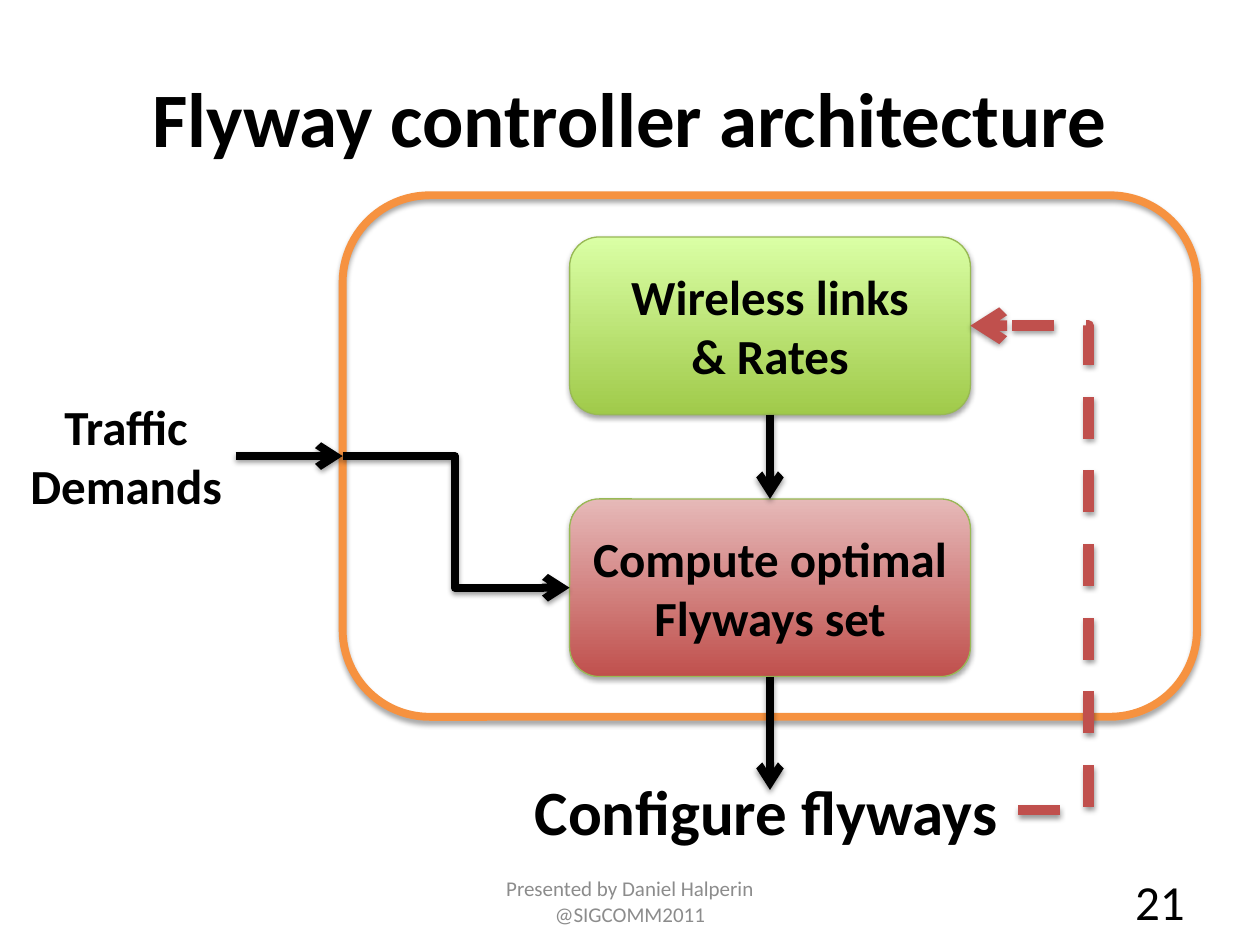
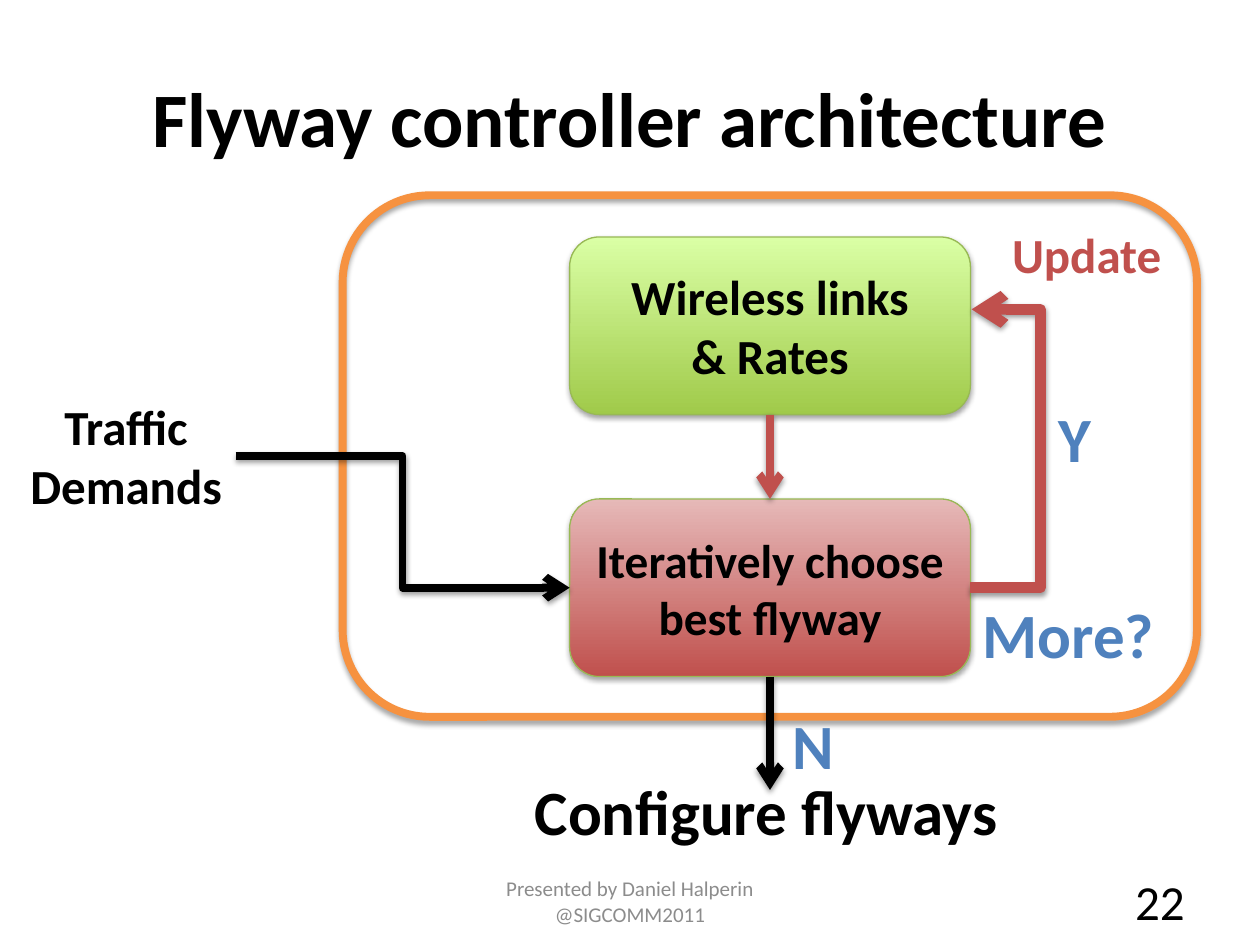
from lxml import etree
from pptx import Presentation
from pptx.dml.color import RGBColor
from pptx.enum import dml, shapes, text
from pptx.oxml import ns
from pptx.util import Pt

BLACK = RGBColor(0x00, 0x00, 0x00)
ORANGE = RGBColor(0xF6, 0x92, 0x40)
GREEN_DARK = RGBColor(0xA0, 0xCA, 0x4A)
GREEN_LIGHT = RGBColor(0xDA, 0xFF, 0xA5)
GREEN_EDGE = RGBColor(0x98, 0xB9, 0x55)
RED = RGBColor(0xC0, 0x50, 0x4D)
RED_LIGHT = RGBColor(0xE6, 0xB9, 0xB8)
BLUE = RGBColor(0x4F, 0x81, 0xBD)
GREY = RGBColor(0x8C, 0x8C, 0x8C)
FONT = "Calibri"

PANEL = (195.8, 111.6, 488.2, 298)
BOX_LEFT, BOX_WIDTH, BOX_HEIGHT = 325.5, 229, 101.5
BOX_RIGHT = BOX_LEFT + BOX_WIDTH
BOX_CENTER = BOX_LEFT + BOX_WIDTH / 2
LINKS_TOP, CHOICE_TOP = 135.4, 285.1
LINKS_MIDDLE = LINKS_TOP + BOX_HEIGHT / 2
CHOICE_MIDDLE = CHOICE_TOP + BOX_HEIGHT / 2
DEMAND_RIGHT, DEMAND_MIDDLE = 134.6, 260.6
CONFIGURE_TOP = 451.4


def points(*values):
    return [Pt(value) for value in values]


def write(frame, content, size=28, color=BLACK, bold=True,
          align=text.PP_ALIGN.CENTER, anchor=text.MSO_ANCHOR.MIDDLE, wrap=True):
    frame.word_wrap = wrap
    frame.vertical_anchor = anchor
    frame.text = content
    for para in frame.paragraphs:
        para.alignment = align
        for span in para.runs:
            span.font.name = FONT
            span.font.size = Pt(size)
            span.font.bold = bold
            span.font.color.rgb = color


def add_child(parent, tag, **attributes):
    values = {name: str(value) for name, value in attributes.items()}
    return etree.SubElement(parent, ns.qn(tag), values)


def add_shadow(properties, distance, opacity):
    effects = properties.find(ns.qn("a:effectLst"))
    if effects is None:
        effects = add_child(properties, "a:effectLst")
    shadow = add_child(effects, "a:outerShdw", blurRad=Pt(3.1), dist=Pt(distance),
                       dir=5400000, rotWithShape=0)
    color = add_child(shadow, "a:srgbClr", val=BLACK)
    add_child(color, "a:alpha", val=opacity * 1000)


def add_label(page, content, left, top, width, height, **style):
    label = page.shapes.add_textbox(*points(left, top, width, height))
    write(label.text_frame, content, **style)


def add_note(page, content, left, top, width, height, **style):
    add_label(page, content, left, top, width, height,
              anchor=text.MSO_ANCHOR.TOP, wrap=False, **style)


def add_round_box(page, left, top, width, height, edge, weight):
    box = page.shapes.add_shape(shapes.MSO_SHAPE.ROUNDED_RECTANGLE,
                                *points(left, top, width, height))
    box.fill.background()
    box.line.color.rgb = edge
    box.line.width = Pt(weight)
    box.shadow.inherit = False
    add_shadow(box._element.spPr, 1.8, 35)
    return box


def add_step(page, content, top, bottom_color, top_color, size=28):
    box = add_round_box(page, BOX_LEFT, top, BOX_WIDTH, BOX_HEIGHT, GREEN_EDGE, 0.75)
    box.fill.gradient()
    box.fill.gradient_angle = 90
    for stop, color in zip(box.fill.gradient_stops, (bottom_color, top_color)):
        stop.color.rgb = color
    write(box.text_frame, content, size=size)


def add_arrow(page, start, end, bend=None, color=BLACK, weight=4.5, dashed=False):
    kind = shapes.MSO_CONNECTOR.STRAIGHT if bend is None else shapes.MSO_CONNECTOR.ELBOW
    arrow = page.shapes.add_connector(kind, *points(*start, *end))
    arrow.line.color.rgb = color
    arrow.line.width = Pt(weight)
    if dashed:
        arrow.line.dash_style = dml.MSO_LINE.DASH
    properties = arrow._element.spPr
    if bend is not None:
        share = (bend - start[0]) / (end[0] - start[0])
        guides = properties.find(ns.qn("a:prstGeom")).get_or_add_avLst()
        add_child(guides, "a:gd", name="adj1", fmla=f"val {round(share * 100000)}")
    add_child(arrow.line._get_or_add_ln(), "a:tailEnd", type="arrow")
    add_shadow(properties, 1.6, 38)


def add_architecture(deck, number, choice, choice_size, link_color):
    page = deck.slides.add_slide(deck.slide_layouts[5])
    title = page.shapes.title
    title.left, title.top, title.width, title.height = points(36, 21.6, 648, 90)
    write(title.text_frame, "Flyway controller architecture", size=44)
    add_label(page, str(number), 516, 500.5, 168, 28.8, bold=False,
              align=text.PP_ALIGN.RIGHT)
    add_label(page, "Presented by Daniel Halperin @SIGCOMM2011", 246, 500.5, 228, 28.8,
              size=12, color=GREY, bold=False)
    add_round_box(page, *PANEL, ORANGE, 4.5)
    add_note(page, "Traffic\nDemands", 9.4, 223.2, 125.2, 75)
    add_step(page, "Wireless links\v& Rates", LINKS_TOP, GREEN_DARK, GREEN_LIGHT)
    add_step(page, choice, CHOICE_TOP, RED, RED_LIGHT, choice_size)
    add_arrow(page, (BOX_CENTER, LINKS_TOP + BOX_HEIGHT), (BOX_CENTER, CHOICE_TOP),
              color=link_color)
    add_arrow(page, (BOX_CENTER, CHOICE_TOP + BOX_HEIGHT), (BOX_CENTER, CONFIGURE_TOP))
    add_note(page, "Configure flyways", 298.5, 437.8, 283, 51, size=36,
             align=text.PP_ALIGN.LEFT)
    return page


def add_overview(deck):
    page = add_architecture(deck, 21, "Compute optimal Flyways set", 28, BLACK)
    panel_left = PANEL[0]
    add_arrow(page, (DEMAND_RIGHT, DEMAND_MIDDLE), (panel_left, DEMAND_MIDDLE))
    add_arrow(page, (panel_left, DEMAND_MIDDLE), (BOX_LEFT, CHOICE_MIDDLE), bend=260)
    add_arrow(page, (581.8, 463), (BOX_RIGHT, LINKS_MIDDLE), bend=622,
              color=RED, weight=6, dashed=True)


def add_iteration(deck):
    page = add_architecture(deck, 22, "Iteratively choose best flyway", 27, RED)
    add_arrow(page, (DEMAND_RIGHT, DEMAND_MIDDLE), (BOX_LEFT, CHOICE_MIDDLE), bend=230)
    add_arrow(page, (BOX_RIGHT, CHOICE_MIDDLE), (BOX_RIGHT + 0.7, 176.8), bend=594,
              color=RED, weight=6)
    add_note(page, "Update", 570.2, 124.6, 101.5, 41, color=RED)
    for content, left, top, width in (("More?", 554.4, 337, 113.8),
                                      ("Y", 597.6, 224.6, 33.8),
                                      ("N", 445.7, 400.3, 38.2)):
        add_note(page, content, left, top, width, 51, size=36, color=BLUE,
                 align=text.PP_ALIGN.LEFT)


def main():
    deck = Presentation()
    deck.slide_width, deck.slide_height = points(720, 540)
    add_overview(deck)
    add_iteration(deck)
    deck.save("out.pptx")


if __name__ == "__main__":
    main()
